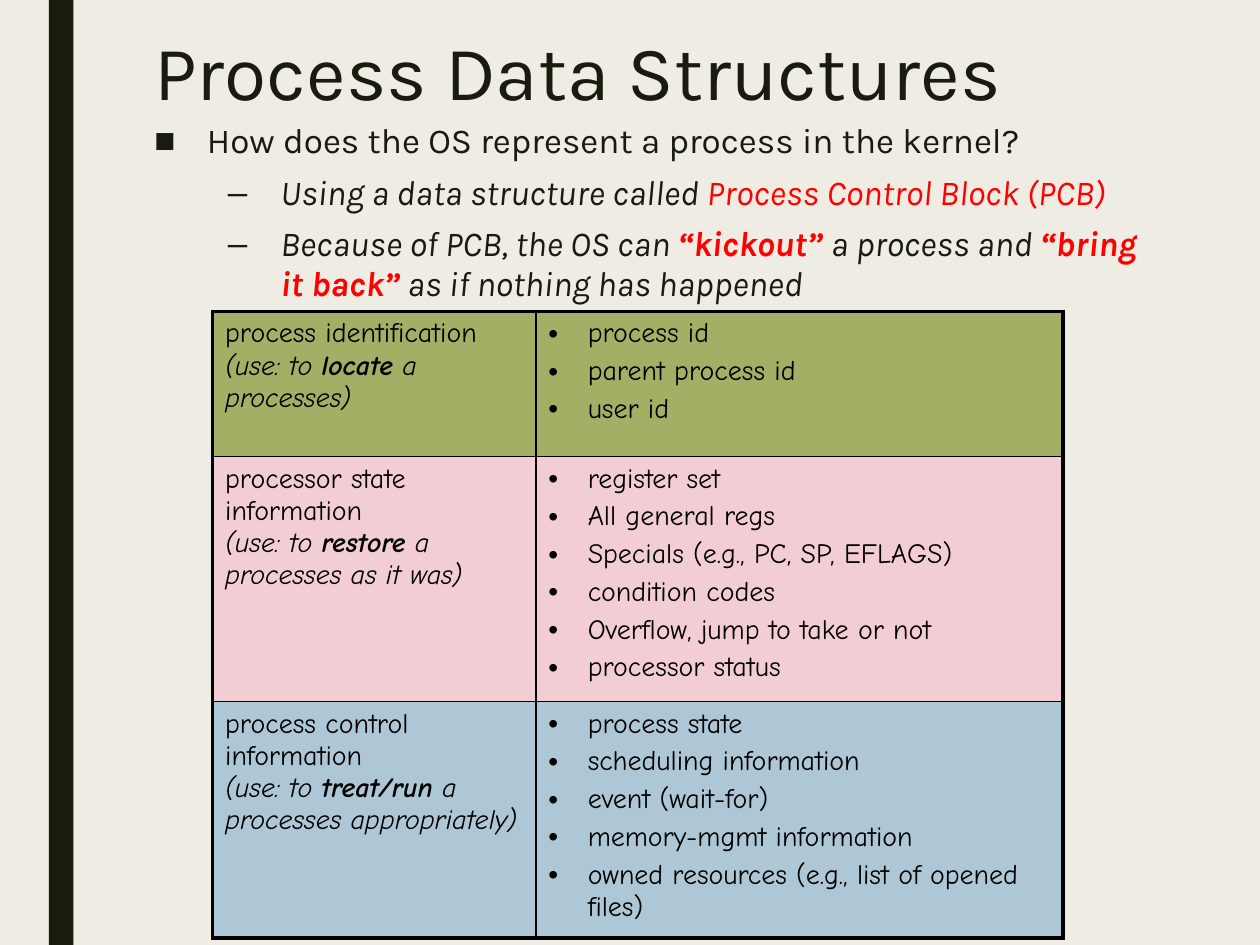
from copy import deepcopy
from lxml.etree import SubElement
from pptx import Presentation
from pptx.dml.color import RGBColor
from pptx.enum.shapes import MSO_SHAPE
from pptx.enum.text import MSO_ANCHOR, MSO_AUTO_SIZE, PP_ALIGN
from pptx.oxml.ns import qn
from pptx.util import Pt

INK = RGBColor(0x19, 0x1B, 0x0E)
CREAM = RGBColor(0xEF, 0xED, 0xE3)
RED = RGBColor(0xFF, 0, 0)
BLACK = RGBColor(0, 0, 0)
GREEN = RGBColor(0xA3, 0xAF, 0x65)
PINK = RGBColor(0xF3, 0xCD, 0xD4)
BLUE = RGBColor(0xAD, 0xC7, 0xD6)

POINTS = [
    (0, "■", [("How does the OS represent a process in the kernel?", "")]),
    (1, "–", [("Using a data structure called ", "i"),
              ("Process Control Block (PCB)", "ir")]),
    (1, "–", [("Because of PCB, the OS can ", "i"), ("“kickout” ", "ibr"),
              ("a process and ", "i"), ("“bring it back”", "ibr"),
              (" as if nothing has happened", "i")]),
]
ROWS = [
    (83, GREEN, "process identification", "locate", " a processes)",
     ["process id", "parent process id", "user id"]),
    (140, PINK, "processor state information", "restore", " a processes as it was)",
     ["register set", "All general regs", "Specials (e.g., PC, SP, EFLAGS)",
      "condition codes", "Overflow, jump to take or not", "processor status"]),
    (135, BLUE, "process control information", "treat/run", " a processes appropriately)",
     ["process state", "scheduling information", "event (wait-for)",
      "memory-mgmt information", "owned resources (e.g., list of opened files)"]),
]


def style(run, face, size, color, marks=""):
    font = run.font
    font.name, font.size = face, Pt(size)
    font.italic, font.bold = "i" in marks, "b" in marks
    font.color.rgb = RED if "r" in marks else color


def write(para, parts, face, size, color):
    for text, marks in parts:
        run = para.add_run()
        run.text = text
        style(run, face, size, color, marks)


def bullet(para, char, left, hang):
    props = para._p.get_or_add_pPr()
    props.set("marL", str(Pt(left)))
    props.set("indent", str(-Pt(hang)))
    SubElement(props, qn("a:buFont"), typeface="Arial")
    SubElement(props, qn("a:buChar"), char=char)


def place(shape, box):
    shape.left, shape.top, shape.width, shape.height = map(Pt, box)


def fit(holder, box):
    place(holder, box)
    frame = holder.text_frame
    frame.word_wrap = True
    frame.auto_size = MSO_AUTO_SIZE.NONE
    frame.vertical_anchor = MSO_ANCHOR.TOP
    return frame


def add_bar(slide, box):
    bar = slide.shapes.add_shape(MSO_SHAPE.RECTANGLE, *map(Pt, box))
    bar.shadow.inherit = False
    bar.fill.solid()
    bar.fill.fore_color.rgb = INK
    bar.line.fill.background()


def add_title(slide, box):
    frame = fit(slide.shapes.title, box)
    frame.text = "Process Data Structures"
    para = frame.paragraphs[0]
    para.alignment = PP_ALIGN.LEFT
    para.line_spacing = 0.89
    style(para.runs[0], "Karla", 44, INK)


def add_body(slide, box):
    frame = fit(slide.placeholders[1], box)
    for n, (level, char, parts) in enumerate(POINTS):
        para = frame.add_paragraph() if n else frame.paragraphs[0]
        para.level = level
        para.line_spacing = 0.94
        para.space_before = Pt(5 if level else 10)
        para.space_after = Pt(2)
        bullet(para, char, 72 if level else 30, 30)
        write(para, parts, "Karla", 20, INK)


def paint(cell, color, edges):
    props = cell._tc.get_or_add_tcPr()
    for side, thick in zip("LRTB", edges):
        line = SubElement(props, qn("a:ln" + side), w=str(Pt(2.25 if thick else 1)))
        fill = SubElement(line, qn("a:solidFill"))
        SubElement(fill, qn("a:srgbClr"), val=str(BLACK))
    cell.fill.solid()
    cell.fill.fore_color.rgb = color
    cell.margin_left = cell.margin_right = Pt(7.2)
    cell.margin_top = cell.margin_bottom = Pt(3.6)


def add_use(cell, name, verb, rest):
    frame = cell.text_frame
    frame.text = name
    para = frame.paragraphs[0]
    para.space_before = Pt(3.2)
    style(para.runs[0], "Comic Neue", 16, BLACK)
    para.add_line_break()
    para._p[-1].append(deepcopy(para.runs[0]._r.rPr))
    write(para, [("(use: to ", "i"), (verb, "ib"), (rest, "i")], "Comic Neue", 16, BLACK)


def add_items(cell, items):
    frame = cell.text_frame
    frame.text = "\n".join(items)
    for para in frame.paragraphs:
        para.space_before = Pt(3.2)
        bullet(para, "•", 22.5, 22.5)
        style(para.runs[0], "Comic Neue", 16, BLACK)


def add_grid(slide, box):
    table = slide.shapes.add_table(len(ROWS), 2, *map(Pt, box)).table
    table.first_row = table.horz_banding = False
    for col, share in zip(table.columns, (0.38, 0.62)):
        col.width = Pt(round(box[2] * share, 1))
    last = len(ROWS) - 1
    for n, (height, color, name, verb, rest, items) in enumerate(ROWS):
        table.rows[n].height = Pt(height)
        use, list_cell = table.cell(n, 0), table.cell(n, 1)
        paint(use, color, (True, False, n == 0, n == last))
        paint(list_cell, color, (False, True, n == 0, n == last))
        add_use(use, name, verb, rest)
        add_items(list_cell, items)


deck = Presentation()
deck.slide_width, deck.slide_height = Pt(720), Pt(540)
slide = deck.slides.add_slide(deck.slide_layouts[1])
slide.background.fill.solid()
slide.background.fill.fore_color.rgb = CREAM
add_bar(slide, (28, 0, 14, 540))
add_title(slide, (81, 16, 567, 117))
add_body(slide, (81, 66, 585, 324))
add_grid(slide, (121.5, 178, 486, 358))
deck.save("out.pptx")
